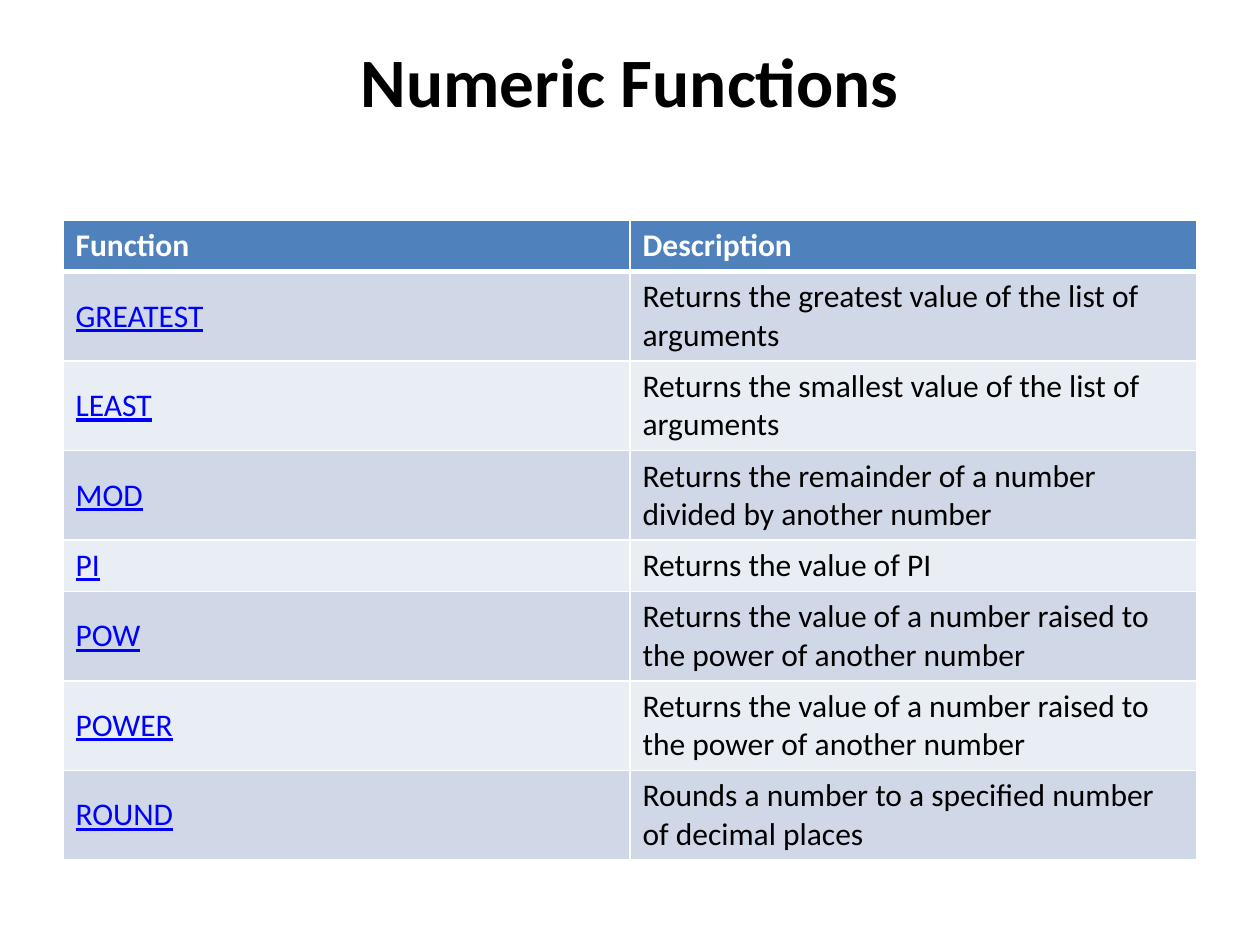
from lxml import etree
from pptx import Presentation
from pptx.dml.color import RGBColor
from pptx.enum import text
from pptx.oxml import ns
from pptx.util import Pt

BLACK = RGBColor(0x00, 0x00, 0x00)
WHITE = RGBColor(0xFF, 0xFF, 0xFF)
LINK_BLUE = RGBColor(0x00, 0x00, 0xFF)
HEADER_BLUE = RGBColor(0x4F, 0x81, 0xBD)
BANDS = (RGBColor(0xD0, 0xD8, 0xE8), RGBColor(0xE9, 0xED, 0xF4))

ONE_LINE, TWO_LINES = 29.2, 51.1
HEADINGS = ("Function", "Description")
FUNCTIONS = [
    ("GREATEST", "Returns the greatest value of the list of arguments", TWO_LINES),
    ("LEAST", "Returns the smallest value of the list of arguments", TWO_LINES),
    ("MOD", "Returns the remainder of a number divided by another number", TWO_LINES),
    ("PI", "Returns the value of PI", ONE_LINE),
    ("POW", "Returns the value of a number raised to the power of another number", TWO_LINES),
    ("POWER", "Returns the value of a number raised to the power of another number", TWO_LINES),
    ("ROUND", "Rounds a number to a specified number of decimal places", TWO_LINES),
]


class SlideBuilder:
    font_name = "Calibri"
    title_size = 39.6
    table_size = 18

    def __init__(self, slide):
        self.slide = slide

    def format_runs(self, paragraph, size, color, bold=False, underline=False):
        for run in paragraph.runs:
            font = run.font
            font.name, font.size = self.font_name, Pt(size)
            font.bold, font.underline = bold, underline
            font.color.rgb = color

    def title(self, wording, left, top, width, height):
        heading = self.slide.shapes.title
        heading.left, heading.top = Pt(left), Pt(top)
        heading.width, heading.height = Pt(width), Pt(height)
        frame = heading.text_frame
        frame.text = wording
        frame.vertical_anchor = text.MSO_ANCHOR.TOP
        frame.margin_top = 0
        frame.paragraphs[0].alignment = text.PP_ALIGN.CENTER
        self.format_runs(frame.paragraphs[0], self.title_size, BLACK, bold=True)

    def borders(self, cell, bottom_width=1, top_width=1):
        properties = cell._tc.get_or_add_tcPr()
        widths = {"lnL": 1, "lnR": 1, "lnT": top_width, "lnB": bottom_width}
        for side, width in widths.items():
            line = etree.SubElement(properties, ns.qn(f"a:{side}"), w=str(Pt(width)))
            fill = etree.SubElement(line, ns.qn("a:solidFill"))
            etree.SubElement(fill, ns.qn("a:srgbClr"), val=str(WHITE))

    def cell(self, cell, wording, fill, color, bold=False, underline=False):
        cell.text = wording
        cell.vertical_anchor = text.MSO_ANCHOR.MIDDLE
        cell.fill.solid()
        cell.fill.fore_color.rgb = fill
        self.format_runs(cell.text_frame.paragraphs[0], self.table_size,
                         color, bold, underline)

    def function_table(self, left, top, width):
        heights = [ONE_LINE] + [height for _, _, height in FUNCTIONS]
        table = self.slide.shapes.add_table(
            len(heights), len(HEADINGS), Pt(left), Pt(top), Pt(width), Pt(sum(heights))
        ).table
        for row, height in zip(table.rows, heights):
            row.height = Pt(height)
        for column, heading in enumerate(HEADINGS):
            header = table.cell(0, column)
            self.borders(header, bottom_width=3)
            self.cell(header, heading, HEADER_BLUE, WHITE, bold=True)
        for index, (function, description, _) in enumerate(FUNCTIONS):
            name_cell, description_cell = table.rows[index + 1].cells
            for body_cell in (name_cell, description_cell):
                self.borders(body_cell, top_width=3 if index == 0 else 1)
            band = BANDS[index % 2]
            self.cell(name_cell, function, band, LINK_BLUE, underline=True)
            self.cell(description_cell, description, band, BLACK)


def main():
    deck = Presentation()
    deck.slide_width, deck.slide_height = Pt(720), Pt(540)
    builder = SlideBuilder(deck.slides.add_slide(deck.slide_layouts[5]))
    builder.title("Numeric Functions", 36, 21.6, 648, 90)
    builder.function_table(36, 126, 648)
    deck.save("out.pptx")


if __name__ == "__main__":
    main()
